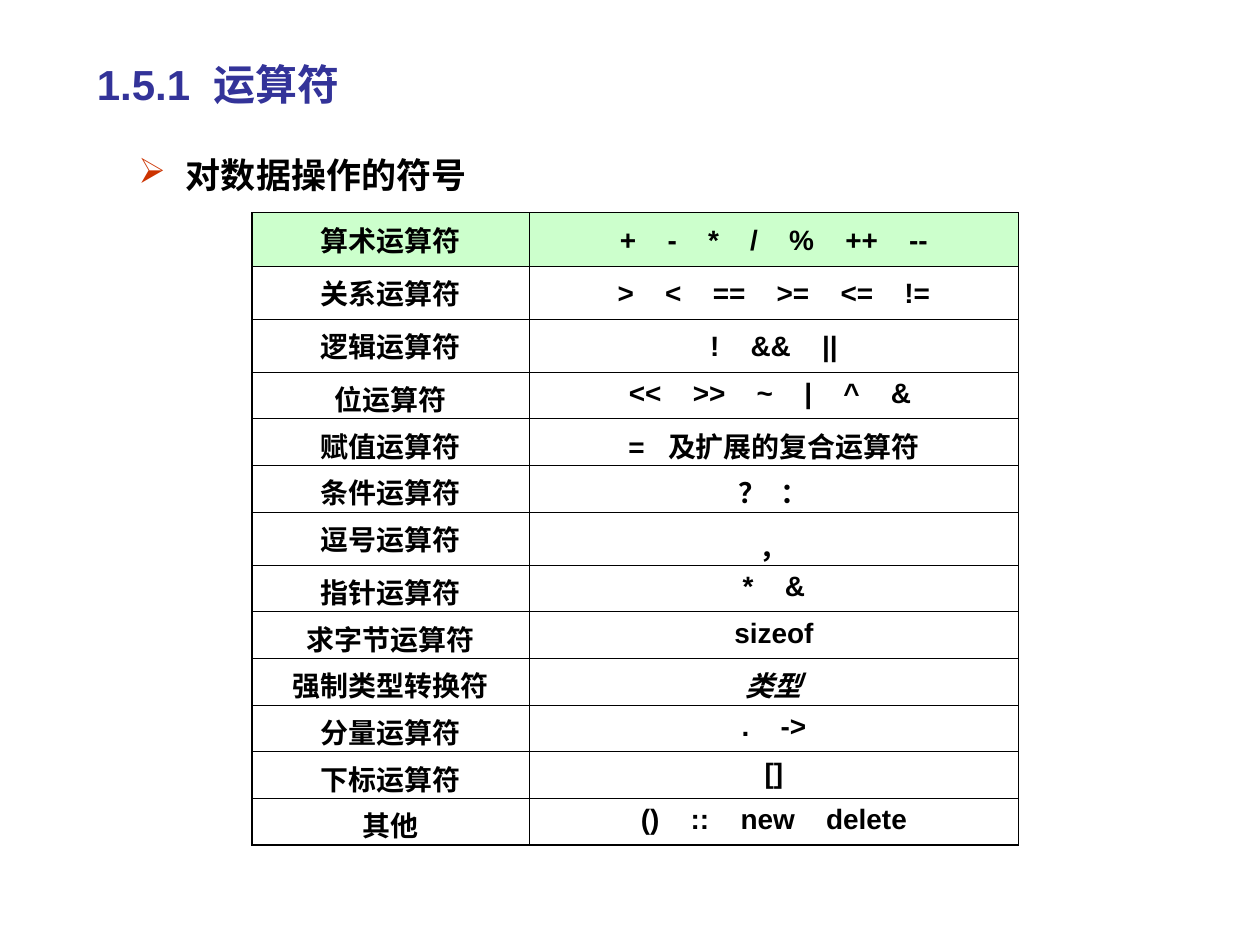
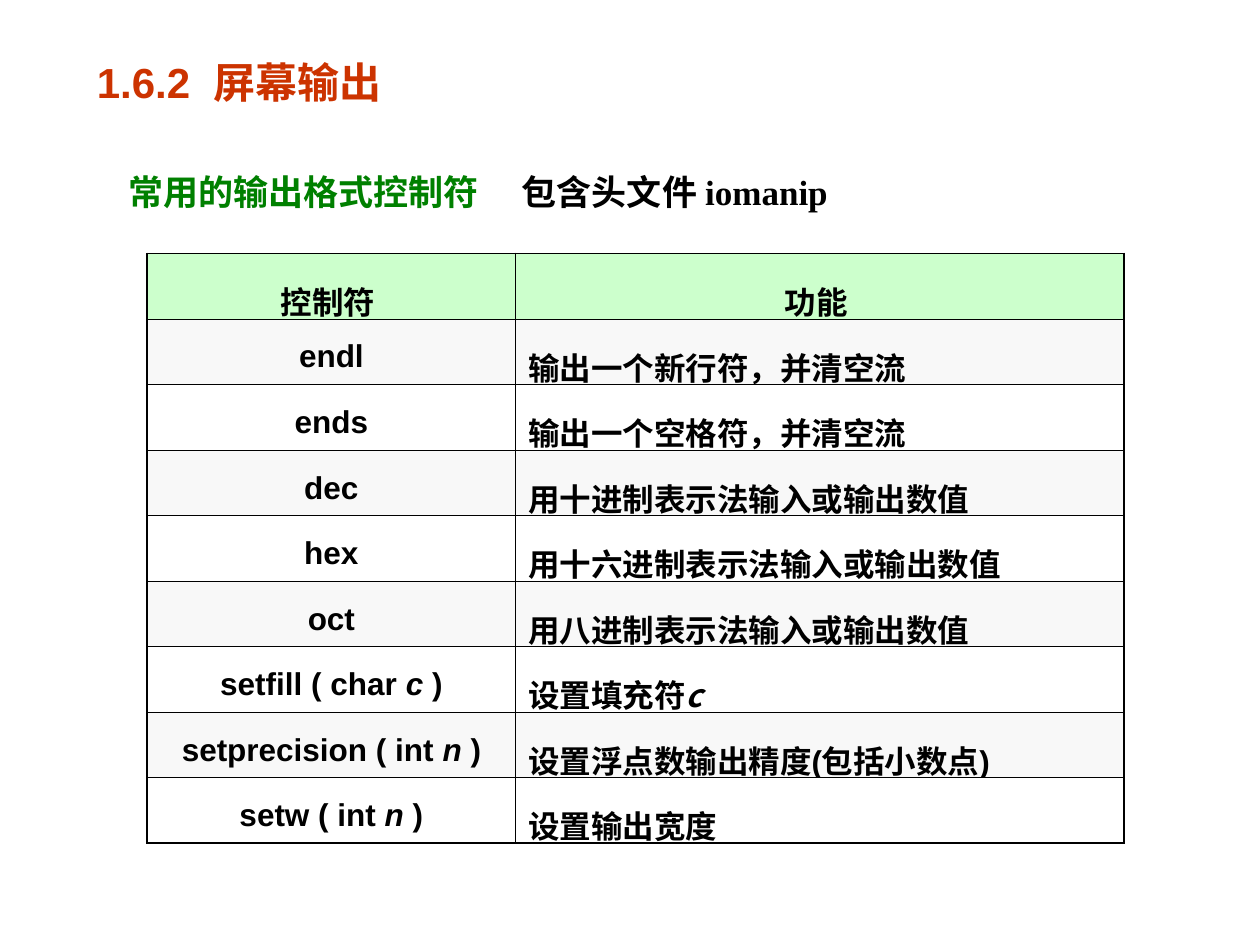
from lxml.etree import SubElement
from pptx import Presentation
from pptx.dml.color import RGBColor
from pptx.enum.text import MSO_ANCHOR, MSO_AUTO_SIZE, PP_ALIGN
from pptx.oxml.ns import qn
from pptx.util import Cm, Pt

BLACK = RGBColor(0x00, 0x00, 0x00)
WHITE = RGBColor(0xFF, 0xFF, 0xFF)
NAVY = RGBColor(0x33, 0x33, 0x99)
BRICK = RGBColor(0xCC, 0x33, 0x00)
GREEN = RGBColor(0x00, 0x80, 0x00)
HEADER_GREEN = RGBColor(0xCC, 0xFF, 0xCC)
BAND_GREY = RGBColor(0xF8, 0xF8, 0xF8)

ITALIC = {"italic": True}
THIN, THICK = Pt(0.45), Pt(1.08)
SPACE_WIDTH = 0.28  # width of one space, in ems


def spaced(words, spaces=4):
    """Runs for the words, with gaps as wide as the given number of spaces."""
    runs = []
    for word in words:
        if runs:
            runs.append((" ", {"gap": spaces - 1}))
        runs.append((word, {}))
    return runs


def signature(name, argument):
    """Runs for a call whose argument name is in italics."""
    return [(f"{name} ", {}), (argument, ITALIC), (" )", {})]


class Deck:
    latin = "Arial"
    east_asian = "Noto Sans CJK SC"

    def __init__(self):
        self.prs = Presentation()
        self.prs.slide_width, self.prs.slide_height = Cm(25.4), Cm(19.05)
        self.slide = None

    def add_runs(self, paragraph, runs, size, color=BLACK, font=latin):
        for text, changes in runs:
            run = paragraph.add_run()
            run.text = text
            look = {"name": font, "size": Pt(size), "bold": True, **changes}
            extra_spaces = look.pop("gap", 0)
            run.font.color.rgb = look.pop("color", color)
            for attribute, value in look.items():
                setattr(run.font, attribute, value)
            properties = run._r.get_or_add_rPr()
            SubElement(properties, qn("a:ea"), typeface=self.east_asian)
            if extra_spaces:
                properties.set("spc", str(round(extra_spaces * SPACE_WIDTH * size * 100)))

    def add_slide(self, words, color, top, height, line_spacing=1.0):
        self.slide = self.prs.slides.add_slide(self.prs.slide_layouts[5])
        title = self.slide.shapes.title
        place = {"left": Cm(1.7), "top": top, "width": Cm(20.96), "height": height}
        for attribute, value in place.items():
            setattr(title, attribute, value)
        frame = title.text_frame
        frame.word_wrap = True
        frame.auto_size = MSO_AUTO_SIZE.NONE
        frame.vertical_anchor = MSO_ANCHOR.MIDDLE
        paragraph = frame.paragraphs[0]
        paragraph.alignment = PP_ALIGN.LEFT
        paragraph.line_spacing = line_spacing
        self.add_runs(paragraph, spaced(words, 2), 24, color)

    def add_lead(self, runs, left, top, width, height, line_spacing, font=latin):
        frame = self.slide.shapes.add_textbox(left, top, width, height).text_frame
        frame.word_wrap = True
        paragraph = frame.paragraphs[0]
        paragraph.line_spacing = line_spacing
        self.add_runs(paragraph, runs, 20, font=font)
        return paragraph

    def add_bullet(self, paragraph, mark, color, indent):
        properties = paragraph._p.get_or_add_pPr()
        properties.set("marL", str(indent))
        properties.set("indent", str(-indent))
        bullet_color = SubElement(properties, qn("a:buClr"))
        SubElement(bullet_color, qn("a:srgbClr"), val=str(color))
        SubElement(properties, qn("a:buChar"), char=mark)

    def add_tab(self, paragraph, position):
        tabs = SubElement(paragraph._p.get_or_add_pPr(), qn("a:tabLst"))
        SubElement(tabs, qn("a:tab"), pos=str(position), algn="l")

    def add_table(self, rows, left, top, widths, heights, size, line_spacings,
                  band=WHITE, top_line=THIN, body_align=PP_ALIGN.CENTER):
        """Green first row, banded body; body_align is for the second column."""
        last_row, last_column = len(rows) - 1, len(widths) - 1
        table = self.slide.shapes.add_table(
            len(rows), len(widths), left, top, sum(widths), sum(heights)).table
        table.first_row = table.horz_banding = False
        for column, width in zip(table.columns, widths):
            column.width = width
        for r, row in enumerate(rows):
            table.rows[r].height = heights[r]
            for c, runs in enumerate(row):
                cell = table.cell(r, c)
                paragraph = cell.text_frame.paragraphs[0]
                paragraph.alignment = body_align if r and c else PP_ALIGN.CENTER
                paragraph.line_spacing = line_spacings[r][c]
                self.add_runs(paragraph, runs, size)
                self.add_borders(cell, {
                    "L": THIN if c else THICK,
                    "R": THICK if c == last_column else THIN,
                    "T": THIN if r else top_line,
                    "B": THICK if r == last_row else THIN,
                })
                cell.fill.solid()
                cell.fill.fore_color.rgb = (
                    HEADER_GREEN if r == 0 else band if r % 2 else WHITE)

    def add_borders(self, cell, line_widths):
        properties = cell._tc.get_or_add_tcPr()
        for side, width in line_widths.items():
            line = SubElement(properties, qn(f"a:ln{side}"), w=str(width))
            fill = SubElement(line, qn("a:solidFill"))
            SubElement(fill, qn("a:srgbClr"), val=str(BLACK))


def add_operators_slide(deck):
    deck.add_slide(["1.5.1", "运算符"], NAVY, Cm(0.64), Cm(2.11))
    lead = deck.add_lead([("对数据操作的符号", {})],
                         Cm(2.54), Cm(2.13), Cm(20.32), Cm(2.34), 2.0)
    deck.add_bullet(lead, "➢", BRICK, Cm(0.96))

    operators = [
        ("算术运算符", spaced(["+", "-", "*", "/", "%", "++", "--"])),
        ("关系运算符", spaced([">", "<", "==", ">=", "<=", "!="])),
        ("逻辑运算符", spaced(["!", "&&", "||"])),
        ("位运算符", spaced(["<<", ">>", "~", "|", "^", "& "])),
        ("赋值运算符", spaced(["=", "及扩展的复合运算符"], 3)),
        ("条件运算符", spaced(["？", "："], 2)),
        ("逗号运算符", spaced(["，"])),
        ("指针运算符", spaced(["*", "&"])),
        ("求字节运算符", spaced(["sizeof"])),
        ("强制类型转换符", [("类型", ITALIC)]),
        ("分量运算符", spaced([".", "->"])),
        ("下标运算符", spaced(["[]"])),
        ("其他", spaced(["()", "::", "new", "delete"])),
    ]
    loose_rows = {"算术运算符", "关系运算符", "逻辑运算符", "逗号运算符"}
    deck.add_table(
        [([(name, {})], symbols) for name, symbols in operators],
        Cm(5.08), Cm(4.29), [Cm(5.59), Cm(9.86)],
        [Cm(1.07) if name in loose_rows else Cm(0.94) for name, _ in operators],
        16,
        [(1.0, 1.2 if name in loose_rows else 1.0) for name, _ in operators])


def add_output_slide(deck):
    deck.add_slide(["1.6.2", "屏幕输出"], BRICK, Cm(0.53), Cm(2.54), 0.6)
    lead = deck.add_lead(
        [("常用的输出格式控制符\t", {"color": GREEN}), ("包含头文件 iomanip", {})],
        Cm(2.34), Cm(2.64), Cm(21.16), Cm(1.78), 1.8, "Times New Roman")
    deck.add_tab(lead, Cm(7.93))

    fill_character = ("c", {"name": deck.east_asian, **ITALIC})
    manipulators = [
        ([("控制符 ", {})], [("功能 ", {})]),
        ([("endl", {})], [("输出一个新行符，并清空流", {})]),
        ([("ends", {})], [("输出一个空格符，并清空流", {})]),
        ([("dec", {})], [("用十进制表示法输入或输出数值", {})]),
        ([("hex", {})], [("用十六进制表示法输入或输出数值", {})]),
        ([("oct", {})], [("用八进制表示法输入或输出数值", {})]),
        (signature("setfill ( char", "c"), [("设置填充符", {}), fill_character]),
        (signature("setprecision ( int", "n"), [("设置浮点数输出精度(包括小数点)", {})]),
        (signature("setw ( int", "n"), [("设置输出宽度", {})]),
    ]
    deck.add_table(
        manipulators, Cm(2.97), Cm(5.11), [Cm(7.42), Cm(12.27)],
        [Cm(1.32)] * len(manipulators), 18, [(1.4, 1.4)] * len(manipulators),
        BAND_GREY, THICK, PP_ALIGN.LEFT)


def main():
    deck = Deck()
    add_operators_slide(deck)
    add_output_slide(deck)
    deck.prs.save("out.pptx")


if __name__ == "__main__":
    main()
